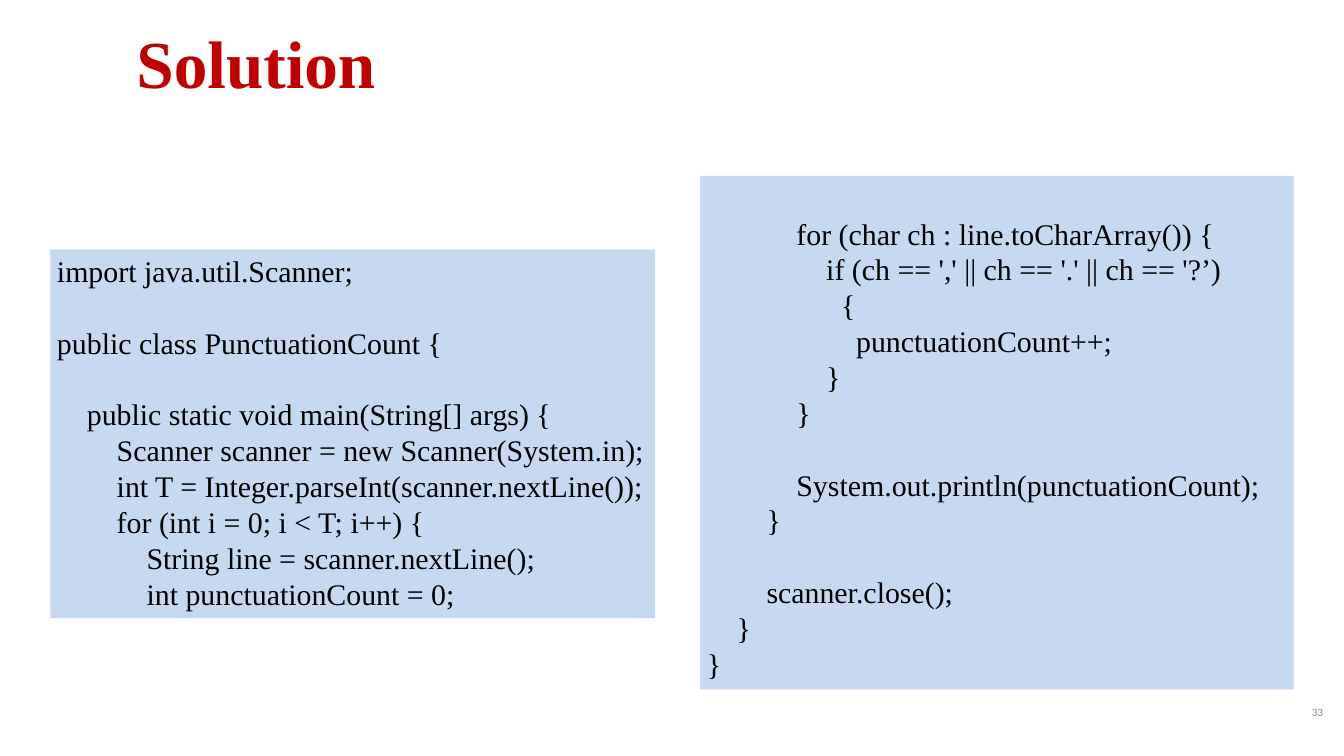
from dataclasses import dataclass

from lxml import etree
from pptx import Presentation
from pptx import util as u
from pptx.dml.color import RGBColor
from pptx.enum import shapes, text
from pptx.oxml.ns import qn

RED = RGBColor(0xC0, 0x00, 0x00)
GREY = RGBColor(0x8C, 0x8C, 0x8C)
BLACK = RGBColor(0x00, 0x00, 0x00)
PALE_BLUE = RGBColor(0xC6, 0xD9, 0xF1)
SERIF = "Times New Roman"
LINE = 38.4
TAB = 72


@dataclass(frozen=True)
class Area:
    left: float
    top: float
    width: float
    height: float

    def lengths(self) -> tuple:
        return tuple(u.Pt(n) for n in (self.left, self.top, self.width, self.height))


@dataclass(frozen=True)
class Label:
    area: Area
    words: str
    size: float
    font: str
    colour: RGBColor
    bold: bool = False
    align: text.PP_ALIGN = text.PP_ALIGN.LEFT
    anchor: text.MSO_ANCHOR = text.MSO_ANCHOR.TOP


@dataclass(frozen=True)
class CodePanel:
    area: Area
    code: str


LABELS = [
    Label(Area(131.8, 20.9, 772.6, 91.4), "Solution", 72, SERIF, RED,
          bold=True, anchor=text.MSO_ANCHOR.MIDDLE),
    Label(Area(1345.7, 748, 86.4, 62), "33", 12, "Calibri", GREY,
          align=text.PP_ALIGN.RIGHT),
]

PANELS = [
    CodePanel(Area(54, 267.1, 648, 395.3), """import java.util.Scanner;

public class PunctuationCount {

    public static void main(String[] args) {
        Scanner scanner = new Scanner(System.in);
        int T = Integer.parseInt(scanner.nextLine());
        for (int i = 0; i < T; i++) {
            String line = scanner.nextLine();
            int punctuationCount = 0;"""),
    CodePanel(Area(750.2, 188.6, 635.8, 550.1), """
            for (char ch : line.toCharArray()) {
                if (ch == ',' || ch == '.' || ch == '?’)
\t\t{
                    punctuationCount++;
                }
            }

            System.out.println(punctuationCount);
        }

        scanner.close();
    }
}"""),
]


def add_span(para, words: str, size: float, font: str, colour: RGBColor,
             bold: bool = False) -> None:
    span = para.add_run()
    span.text = words
    span.font.size = u.Pt(size)
    span.font.name = font
    span.font.bold = bold
    span.font.color.rgb = colour


def set_insets(frame, side: float, top: float, bottom: float) -> None:
    frame.margin_left = frame.margin_right = u.Pt(side)
    frame.margin_top, frame.margin_bottom = u.Pt(top), u.Pt(bottom)


def add_tab_stops(para, count: int) -> None:
    stops = etree.SubElement(para._p.get_or_add_pPr(), qn("a:tabLst"))
    for number in range(1, count + 1):
        etree.SubElement(stops, qn("a:tab"), pos=str(u.Pt(TAB * number)), algn="l")


def draw_label(page, label: Label) -> None:
    frame = page.shapes.add_textbox(*label.area.lengths()).text_frame
    frame.word_wrap = True
    frame.vertical_anchor = label.anchor
    set_insets(frame, 14.4, 14.4, 14.4)
    para = frame.paragraphs[0]
    para.alignment = label.align
    add_span(para, label.words, label.size, label.font, label.colour, label.bold)


def draw_panel(page, panel: CodePanel) -> None:
    box = page.shapes.add_shape(shapes.MSO_SHAPE.RECTANGLE, *panel.area.lengths())
    box.shadow.inherit = False
    box.fill.solid()
    box.fill.fore_color.rgb = PALE_BLUE
    box.line.fill.background()
    frame = box.text_frame
    frame.word_wrap = True
    frame.vertical_anchor = text.MSO_ANCHOR.TOP
    code = panel.code.lstrip("\n")
    opening_lines = len(panel.code) - len(code)
    set_insets(frame, 7.2, 3.6 + LINE * opening_lines, 3.6)

    para, gap = frame.paragraphs[0], 0
    for index, line in enumerate(code.split("\n")):
        if not line:
            gap += LINE
            continue
        if index:
            para = frame.add_paragraph()
        para.alignment = text.PP_ALIGN.LEFT
        para.line_spacing = u.Pt(LINE)
        if gap:
            para.space_before = u.Pt(gap)
            gap = 0
        if "\t" in line:
            add_tab_stops(para, line.count("\t"))
        add_span(para, line, 32, SERIF, BLACK)


def main() -> None:
    deck = Presentation()
    deck.slide_width, deck.slide_height = u.Pt(1440), u.Pt(810)
    page = deck.slides.add_slide(deck.slide_layouts[6])
    for label in LABELS:
        draw_label(page, label)
    for panel in PANELS:
        draw_panel(page, panel)
    deck.save("out.pptx")


if __name__ == "__main__":
    main()
